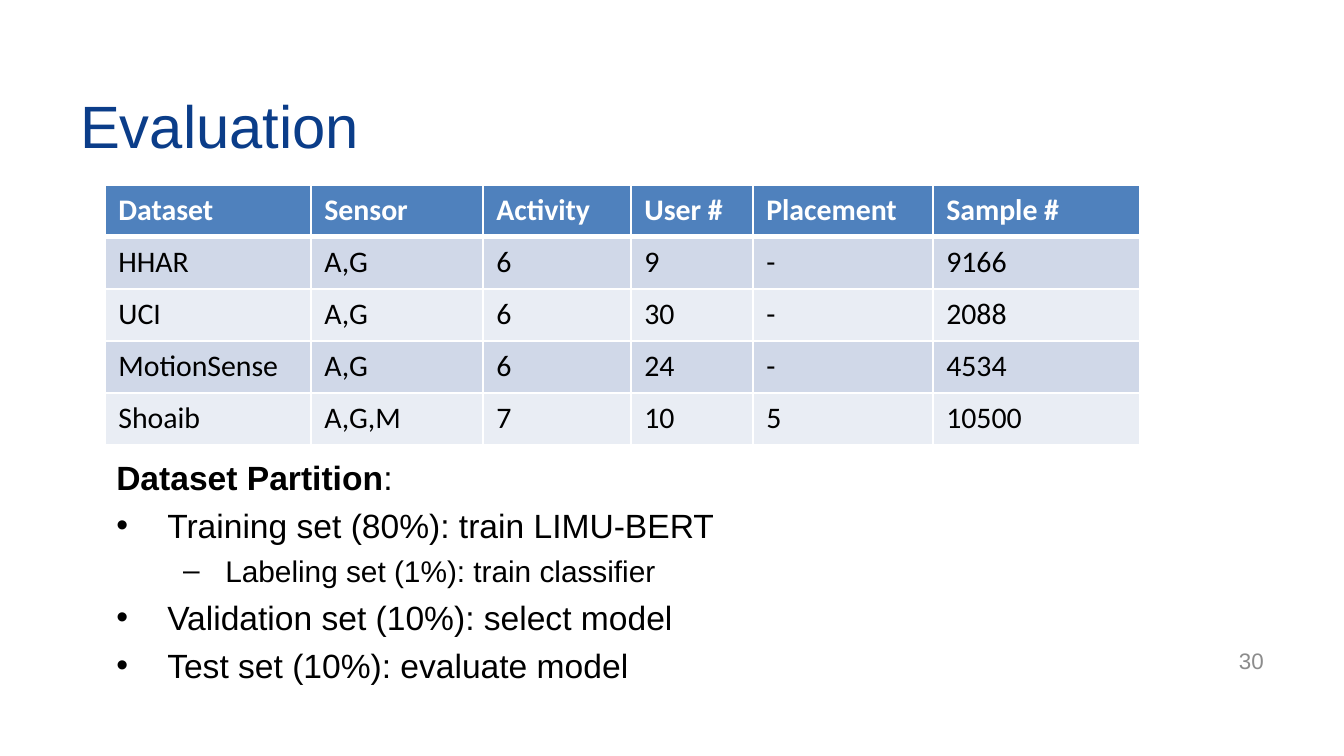
import pptx
import pptx.util
import pptx.dml.color
import pptx.enum.text
import pptx.oxml.ns
from lxml import etree

TITLE = "Evaluation"
PAGE = "30"
ROWS = [
    ("Dataset", "Sensor", "Activity", "User #", "Placement", "Sample #"),
    ("HHAR", "A,G", "6", "9", "-", "9166"),
    ("UCI", "A,G", "6", "30", "-", "2088"),
    ("MotionSense", "A,G", "6", "24", "-", "4534"),
    ("Shoaib", "A,G,M", "7", "10", "5", "10500"),
]
COL_WIDTHS = (206, 172, 148, 122, 180, 207)
ROW_HEIGHT = 52
PARTITION = [
    ("intro", "Dataset Partition", ":"),
    ("item", "Training set (80%): train LIMU-BERT"),
    ("subitem", "Labeling set (1%): train classifier"),
    ("item", "Validation set (10%): select model"),
    ("item", "Test set (10%): evaluate model"),
]
BULLETS = {"item": ("•", 51, 51), "subitem": ("–", 109, 42)}
THEME = {
    "font": "Arial", "table_font": "Calibri",
    "title": "0B3D89", "page": "8C8C8C", "text": "000000", "head_text": "FFFFFF",
    "head": "4F81BD", "bands": ("D0D8E8", "E9EDF4"), "border": "FFFFFF",
    "title_size": 32, "page_size": 12, "table_size": 16,
    "intro_size": 18, "item_size": 18, "subitem_size": 16, "space_before": 4.2,
}
EMU_PER_PX = 914400 / 134.4
ANCHOR = pptx.enum.text.MSO_ANCHOR
ALIGN = pptx.enum.text.PP_ALIGN


def px(n):
    return pptx.util.Emu(round(n * EMU_PER_PX))


def rgb(color):
    return pptx.dml.color.RGBColor.from_string(color)


def style(p, size, color, font=THEME["font"], bold=False):
    for r in p.runs:
        r.font.size = pptx.util.Pt(size)
        r.font.name = font
        r.font.color.rgb = rgb(color)
        r.font.bold = bold


def add_text_box(s, left, top, width, height, anchor):
    tf = s.shapes.add_textbox(px(left), px(top), px(width), px(height)).text_frame
    tf.word_wrap = True
    tf.vertical_anchor = anchor
    return tf


def set_bullet(p, char, margin, hang):
    pPr = p._p.get_or_add_pPr()
    pPr.set("marL", str(px(margin)))
    pPr.set("indent", str(-px(hang)))
    etree.SubElement(pPr, pptx.oxml.ns.qn("a:buFont")).set("typeface", THEME["font"])
    etree.SubElement(pPr, pptx.oxml.ns.qn("a:buChar")).set("char", char)


def set_borders(cell, bottom):
    tcPr = cell._tc.get_or_add_tcPr()
    for i, (side, width) in enumerate((("L", 1), ("R", 1), ("T", 1), ("B", bottom))):
        ln = etree.Element(pptx.oxml.ns.qn(f"a:ln{side}"), w=str(pptx.util.Pt(width)))
        fill = etree.SubElement(ln, pptx.oxml.ns.qn("a:solidFill"))
        etree.SubElement(fill, pptx.oxml.ns.qn("a:srgbClr")).set("val", THEME["border"])
        tcPr.insert(i, ln)


def add_datasets(s):
    table = s.shapes.add_table(len(ROWS), len(COL_WIDTHS), px(105), px(185),
                               px(sum(COL_WIDTHS)), px(ROW_HEIGHT * len(ROWS))).table
    for col, width in zip(table.columns, COL_WIDTHS):
        col.width = px(width)
    for i, values in enumerate(ROWS):
        head = i == 0
        table.rows[i].height = px(ROW_HEIGHT)
        for j, value in enumerate(values):
            cell = table.cell(i, j)
            cell.text_frame.text = value
            style(cell.text_frame.paragraphs[0], THEME["table_size"],
                  THEME["head_text" if head else "text"], THEME["table_font"], head)
            cell.fill.solid()
            cell.fill.fore_color.rgb = rgb(THEME["head"] if head else THEME["bands"][(i - 1) % 2])
            set_borders(cell, 3 if head else 1)


def add_partition(s):
    tf = add_text_box(s, 103, 450, 1140, 259, ANCHOR.TOP)
    for i, (kind, *texts) in enumerate(PARTITION):
        p = tf.add_paragraph() if i else tf.paragraphs[0]
        for text in texts:
            p.add_run().text = text
        p.space_before = pptx.util.Pt(THEME["space_before"])
        style(p, THEME[f"{kind}_size"], THEME["text"])
        if kind in BULLETS:
            p.level = int(kind == "subitem")
            set_bullet(p, *BULLETS[kind])
        else:
            p.runs[0].font.bold = True


def main():
    prs = pptx.Presentation()
    prs.slide_width, prs.slide_height = px(1344), px(756)
    s = prs.slides.add_slide(prs.slide_layouts[6])

    tf = add_text_box(s, 67, 62, 1210, 126, ANCHOR.MIDDLE)
    tf.text = TITLE
    style(tf.paragraphs[0], THEME["title_size"], THEME["title"])

    tf = add_text_box(s, 964, 641, 313, 40, ANCHOR.MIDDLE)
    tf.text = PAGE
    tf.paragraphs[0].alignment = ALIGN.RIGHT
    style(tf.paragraphs[0], THEME["page_size"], THEME["page"])

    add_partition(s)
    add_datasets(s)
    prs.save("out.pptx")


if __name__ == "__main__":
    main()
